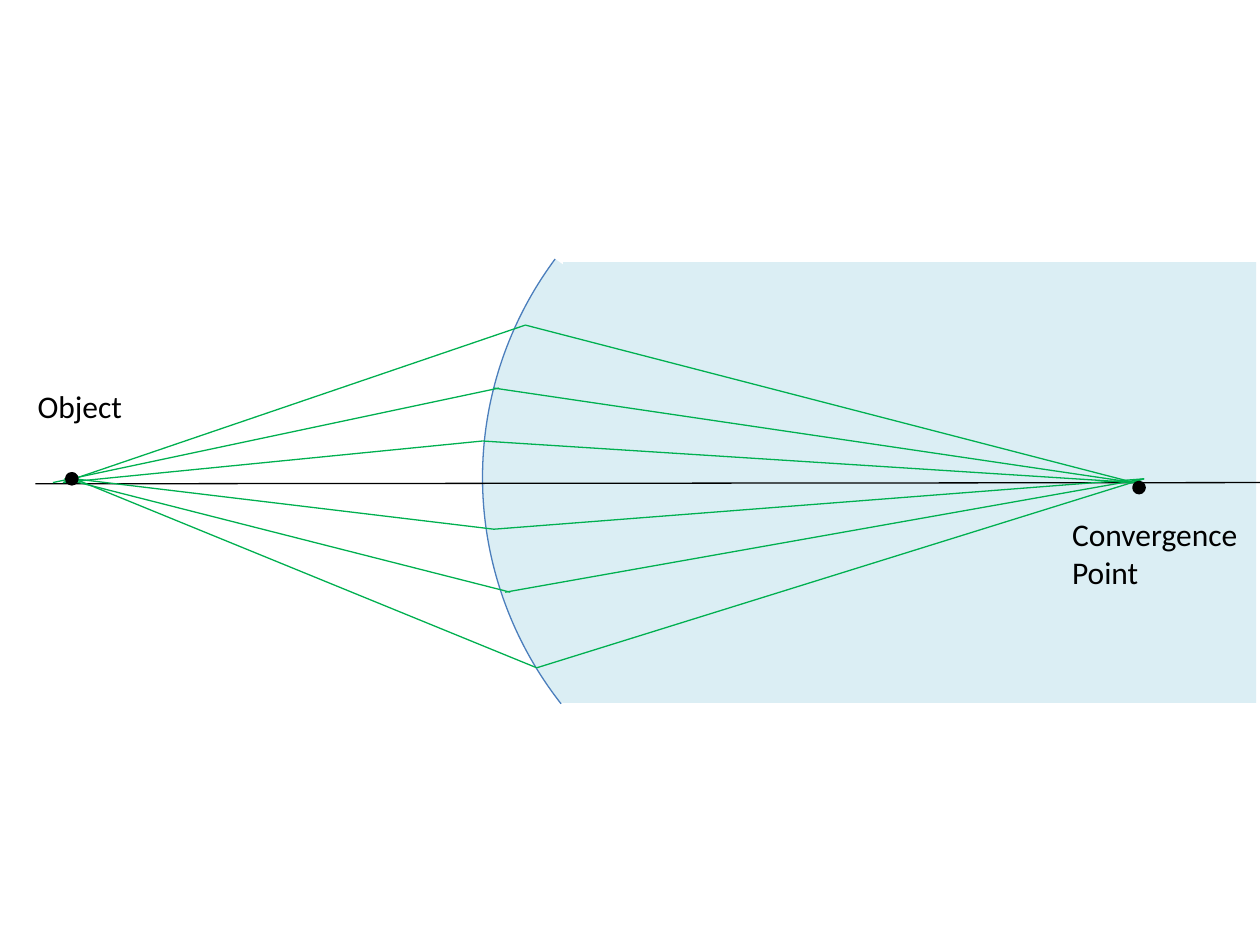
from pptx import Presentation
from pptx.dml.color import RGBColor
from pptx.enum import shapes, text
from pptx.oxml.ns import qn
from pptx.util import Inches, Pt

BLACK = RGBColor(0x00, 0x00, 0x00)
GLASS = RGBColor(0xDB, 0xEE, 0xF4)
EDGE = RGBColor(0x4B, 0x7E, 0xBC)
RAY = RGBColor(0x00, 0xB0, 0x50)

# Ray fans: convergence point, then (object x, end of incoming ray x,
# start of refracted ray x, height on the surface) for each ray
FANS = [
    ((9, 3.83), [(0.5, 4.17, 4.17, 2.58),
                 (0.42, 3.96, 3.92, 3.08),
                 (0.5, 3.83, 3.83, 3.5)]),
    ((9.08, 3.8), [(0.59, 4.26, 4.26, 5.3),
                   (0.51, 4.05, 4.01, 4.7),
                   (0.59, 3.92, 3.92, 4.2)]),
]
DOTS = [(0.53, 3.76), (9, 3.83)]
DOT_SIZE = 0.08
# Label, box, wrap
LABELS = [
    ("Object", (0.2, 3.02, 0.88, 0.4), False),
    ("Convergence Point", (8.41, 4.04, 1.59, 0.71), True),
]

prs = Presentation()
prs.slide_width, prs.slide_height = Inches(10), Inches(7.5)
s = prs.slides.add_slide(prs.slide_layouts[6])


def add_shape(kind, box, fill, line=None, width=0.75):
    sp = s.shapes.add_shape(kind, *map(Inches, box))
    sp.shadow.inherit = False
    sp.fill.solid()
    sp.fill.fore_color.rgb = fill
    if line is None:
        sp.line.fill.background()
    else:
        sp.line.color.rgb = line
        sp.line.width = Pt(width)
    return sp


def add_line(start, end, color):
    ln = s.shapes.add_connector(shapes.MSO_CONNECTOR.STRAIGHT,
                                *map(Inches, (*start, *end)))
    ln.line.color.rgb = color
    ln.line.width = Pt(0.75)
    props = ln._element.spPr
    props.append(props.makeelement(qn("a:effectLst"), {}))


# Glass body with its curved front surface
add_shape(shapes.MSO_SHAPE.RECTANGLE, (4.47, 2.08, 5.5, 3.5), GLASS)
surface = add_shape(shapes.MSO_SHAPE.ARC, (3.83, 0.83, 6.08, 5.92), GLASS, EDGE)
surface.adjustments[0] = 194.914
surface.adjustments[1] = 21.966
surface._element.spPr.xfrm.set("flipH", "1")

# Optical axis
add_line((0.28, 3.84), (10, 3.83), BLACK)

# Incoming and refracted rays
for focus, rays in FANS:
    for object_x, in_x, out_x, y in rays:
        add_line((object_x, focus[1]), (in_x, y), RAY)
        add_line(focus, (out_x, y), RAY)

# Object and convergence points
for x, y in DOTS:
    add_shape(shapes.MSO_SHAPE.OVAL, (x, y, DOT_SIZE, DOT_SIZE), BLACK, BLACK, 2)

# Labels
for label, box, wrap in LABELS:
    tf = s.shapes.add_textbox(*map(Inches, box)).text_frame
    tf.word_wrap = wrap
    tf.auto_size = text.MSO_AUTO_SIZE.SHAPE_TO_FIT_TEXT
    r = tf.paragraphs[0].add_run()
    r.text = label
    r.font.name = "Calibri"
    r.font.size = Pt(18)
    r.font.color.rgb = BLACK

prs.save("out.pptx")
